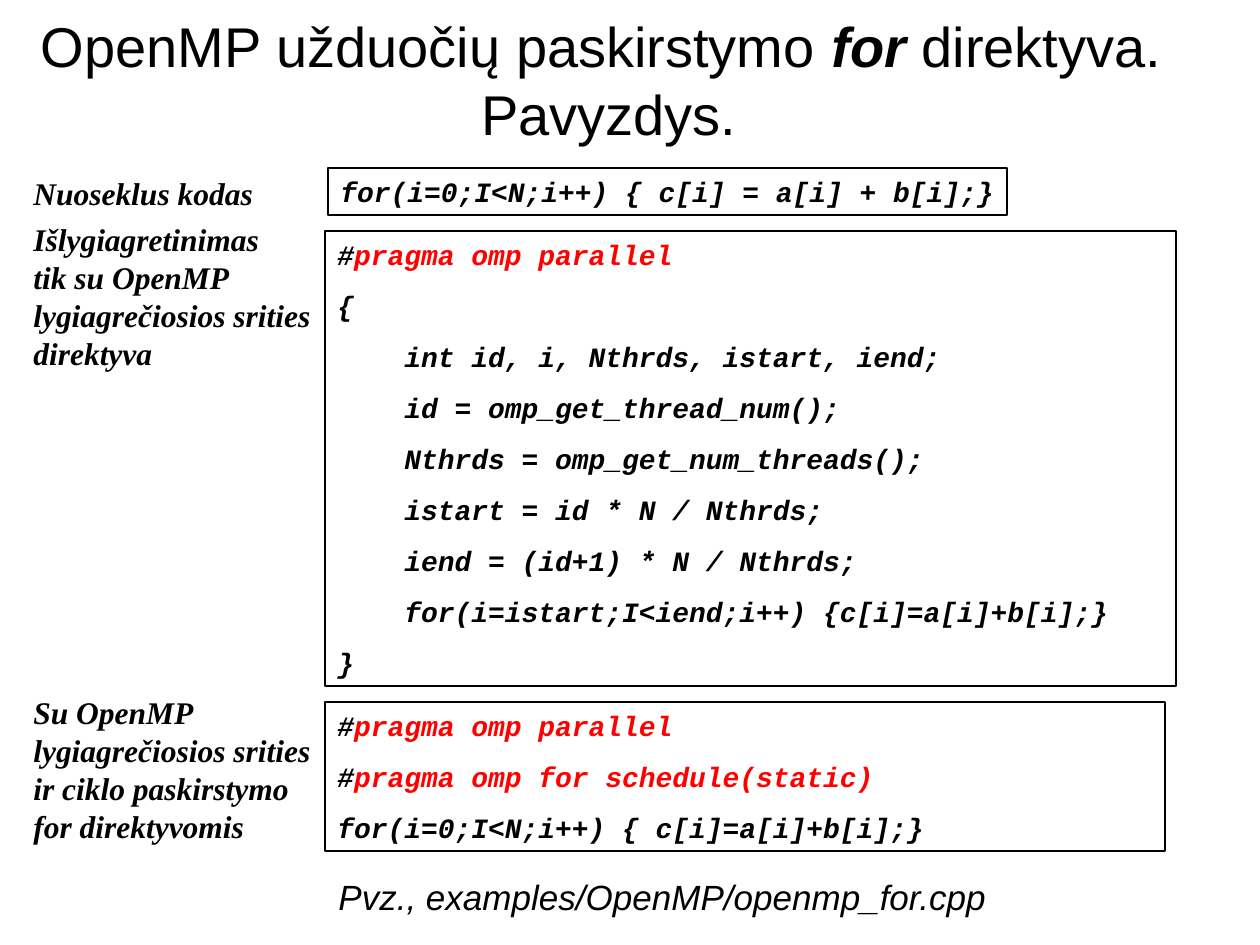
from pptx import Presentation
from pptx.dml.color import RGBColor
from pptx.enum.shapes import MSO_SHAPE
from pptx.enum.text import MSO_ANCHOR, MSO_AUTO_SIZE, PP_ALIGN
from pptx.util import Pt

PX = 914400 / 126
COLORS = {"ink": "000000", "pragma": "FF0000"}
CODE_INDENT = 67

TITLE_BOX = (0, 0, 1218, 158)
TITLE = [("OpenMP užduočių paskirstymo ", False), ("for", True), (" direktyva. \vPavyzdys.", False)]

CODE_BLOCKS = [
    ((328, 168, 679, 47), False, 0, [
        (0, "for(i=0;I<N;i++) { c[i] = a[i] + b[i];}"),
    ]),
    ((325, 231, 851, 455), True, 10, [
        (0, "#pragma omp parallel"),
        (0, "{"),
        (1, "int id, i, Nthrds, istart, iend;"),
        (1, "id = omp_get_thread_num();"),
        (1, "Nthrds = omp_get_num_threads();"),
        (1, "istart = id * N / Nthrds;"),
        (1, "iend = (id+1) * N / Nthrds;"),
        (1, "for(i=istart;I<iend;i++) {c[i]=a[i]+b[i];}"),
        (0, "}"),
    ]),
    ((325, 702, 840, 149), True, 10, [
        (0, "#pragma omp parallel"),
        (0, "#pragma omp for schedule(static)"),
        (0, "for(i=0;I<N;i++) { c[i]=a[i]+b[i];}"),
    ]),
]

LABELS = [
    ((21, 168, 252, 50), ["Nuoseklus kodas"]),
    ((21, 214, 305, 164), ["Išlygiagretinimas", "tik su OpenMP lygiagrečiosios srities direktyva"]),
    ((21, 687, 325, 164), ["Su OpenMP lygiagrečiosios srities ir ciklo paskirstymo for direktyvomis"]),
]

FOOTER_BOX = (326, 869, 674, 55)
FOOTER = "Pvz., examples/OpenMP/openmp_for.cpp"


def px(n):
    return round(n * PX)


def rgb(name):
    return RGBColor.from_string(COLORS[name])


def set_font(font, name, size, bold=False, italic=False):
    font.name, font.size = name, Pt(size)
    font.bold, font.italic = bold, italic
    font.color.rgb = rgb("ink")


def set_frame(sp, wrap=True):
    tf = sp.text_frame
    tf.word_wrap = wrap
    tf.auto_size = MSO_AUTO_SIZE.SHAPE_TO_FIT_TEXT
    tf.vertical_anchor = MSO_ANCHOR.TOP
    return tf


def add_text(slide, box, wrap=True):
    return set_frame(slide.shapes.add_textbox(*map(px, box)), wrap)


def paragraphs(tf, items):
    for n, item in enumerate(items):
        yield (tf.add_paragraph() if n else tf.paragraphs[0]), item


def add_title(slide):
    tf = add_text(slide, TITLE_BOX)
    tf.auto_size = MSO_AUTO_SIZE.NONE
    tf.vertical_anchor = MSO_ANCHOR.MIDDLE
    p = tf.paragraphs[0]
    p.alignment = PP_ALIGN.CENTER
    set_font(p.font, "Arial", 32)
    for text, strong in TITLE:
        before, *after = text.split("\v")
        for n, part in enumerate([before, *after]):
            if n:
                p.add_line_break()
            r = p.add_run()
            r.text = part
            set_font(r.font, "Arial", 32, strong, strong)


def add_code(slide, box, wrap, space, lines):
    sp = slide.shapes.add_shape(MSO_SHAPE.RECTANGLE, *map(px, box))
    sp.shadow.inherit = False
    sp.fill.background()
    sp.line.color.rgb = rgb("ink")
    sp.line.width = Pt(0.75)
    for p, (level, text) in paragraphs(set_frame(sp, wrap), lines):
        p.alignment = PP_ALIGN.LEFT
        p.space_before = Pt(space)
        set_font(p.font, "Courier New", 16, True, True)
        if level:
            p._p.get_or_add_pPr().set("marL", str(px(level * CODE_INDENT)))
        directive = text.startswith("#")
        for part in (text[:1], text[1:]) if directive else (text,):
            r = p.add_run()
            r.text = part
            if directive and part != "#":
                r.font.color.rgb = rgb("pragma")


def add_label(slide, box, lines):
    for n, (p, text) in enumerate(paragraphs(add_text(slide, box), lines)):
        p.text = text
        p.space_before = Pt(0 if n else 11.2)
        set_font(p.font, "Times New Roman", 18, True, True)


def main():
    prs = Presentation()
    prs.slide_width, prs.slide_height = px(1260), px(945)
    slide = prs.slides.add_slide(prs.slide_layouts[6])
    add_title(slide)
    for block in CODE_BLOCKS:
        add_code(slide, *block)
    for label in LABELS:
        add_label(slide, *label)
    p = add_text(slide, FOOTER_BOX, wrap=False).paragraphs[0]
    p.text = FOOTER
    set_font(p.font, "Arial", 20, italic=True)
    prs.save("out.pptx")


if __name__ == "__main__":
    main()
